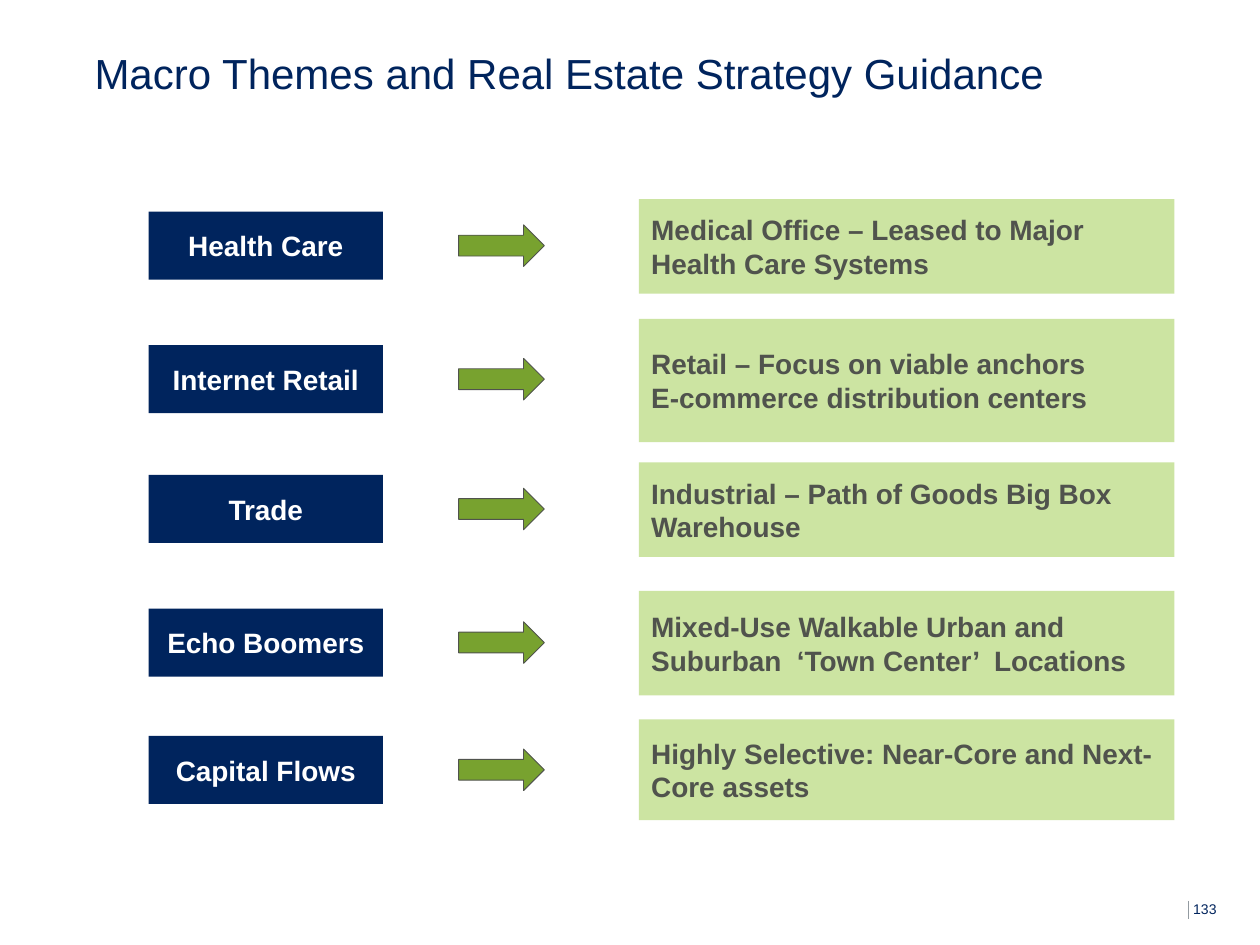
from lxml import etree
from pptx import Presentation
from pptx import util as u
from pptx.dml.color import RGBColor
from pptx.enum import shapes, text
from pptx.oxml import ns

NAVY = RGBColor(0x00, 0x24, 0x5D)
GREEN = RGBColor(0x78, 0xA2, 0x2F)
PALE_GREEN = RGBColor(0xCC, 0xE4, 0xA2)
DARK_GRAY = RGBColor(0x50, 0x53, 0x4D)
RULE_GRAY = RGBColor(0x93, 0x9B, 0xA1)
WHITE = RGBColor(0xFF, 0xFF, 0xFF)

THEME_HEIGHT = 0.54
ARROW_HEIGHT = 0.33

# theme, theme top, guidance top, guidance height, guidance paragraphs
ROWS = [
    ("Health Care", 1.68, 1.58, 0.75,
     ["Medical Office – Leased to Major Health Care Systems"]),
    ("Internet Retail", 2.74, 2.53, 0.98,
     ["Retail – Focus on viable anchors", "E-commerce distribution centers"]),
    ("Trade", 3.77, 3.67, 0.75,
     ["Industrial – Path of Goods Big Box Warehouse"]),
    ("Echo Boomers", 4.83, 4.69, 0.83,
     ["Mixed-Use Walkable Urban and Suburban  ‘Town Center’  Locations"]),
    ("Capital Flows", 5.84, 5.71, 0.80,
     ["Highly Selective: Near-Core and Next-Core assets"]),
]


class SlideBuilder:
    font = "Arial"
    body_size = 16
    line_width = u.Pt(0.5)

    def __init__(self, slide):
        self.s = slide

    def add_lines(self, tf, lines, size, color, bold=False,
                  align=text.PP_ALIGN.LEFT):
        tf.word_wrap = True
        for i, line in enumerate(lines):
            p = tf.add_paragraph() if i else tf.paragraphs[0]
            p.alignment = align
            r = p.add_run()
            r.text = line
            r.font.name = self.font
            r.font.size = u.Pt(size)
            r.font.bold = bold
            r.font.color.rgb = color

    def label(self, x, y, w, h, line, size):
        """Add plain navy text without margins."""
        sp = self.s.shapes.add_textbox(*map(u.Inches, (x, y, w, h)))
        tf = sp.text_frame
        tf.margin_left = tf.margin_right = tf.margin_top = tf.margin_bottom = 0
        self.add_lines(tf, [line], size, NAVY)

    def shape(self, kind, x, y, w, h, fill):
        sp = self.s.shapes.add_shape(kind, *map(u.Inches, (x, y, w, h)))
        sp.shadow.inherit = False
        sp.fill.solid()
        sp.fill.fore_color.rgb = fill
        sp.line.fill.background()
        return sp

    def box(self, x, y, w, h, fill, lines, color, align):
        sp = self.shape(shapes.MSO_SHAPE.RECTANGLE, x, y, w, h, fill)
        sp.text_frame.vertical_anchor = text.MSO_ANCHOR.MIDDLE
        self.add_lines(sp.text_frame, lines, self.body_size, color, True, align)

    def arrow(self, x, y, w, h):
        sp = self.shape(shapes.MSO_SHAPE.RIGHT_ARROW, x, y, w, h, GREEN)
        sp.line.color.rgb = DARK_GRAY
        sp.line.width = self.line_width

    def rule(self, x1, y1, x2, y2):
        sp = self.s.shapes.add_connector(
            shapes.MSO_CONNECTOR.STRAIGHT, *map(u.Inches, (x1, y1, x2, y2)))
        sp.line.color.rgb = RULE_GRAY
        sp.line.width = self.line_width
        etree.SubElement(sp._element.spPr, ns.qn("a:effectLst"))


def main():
    prs = Presentation()
    prs.slide_width, prs.slide_height = u.Inches(10), u.Inches(7.5)
    b = SlideBuilder(prs.slides.add_slide(prs.slide_layouts[6]))

    b.rule(9.43, 7.15, 9.43, 7.29)
    b.label(9.47, 7.15, 0.4, 0.21, "133", 8)
    b.label(0.75, 0.38, 8.42, 0.99,
            "Macro Themes and Real Estate Strategy Guidance", 24)

    for theme, y, guidance_y, guidance_h, guidance in ROWS:
        b.box(1.18, y, 1.86, THEME_HEIGHT, NAVY, [theme], WHITE,
              text.PP_ALIGN.CENTER)
        b.arrow(3.64, y + (THEME_HEIGHT - ARROW_HEIGHT) / 2, 0.68, ARROW_HEIGHT)
        b.box(5.07, guidance_y, 4.25, guidance_h, PALE_GREEN, guidance,
              DARK_GRAY, text.PP_ALIGN.LEFT)

    prs.save("out.pptx")


if __name__ == "__main__":
    main()
